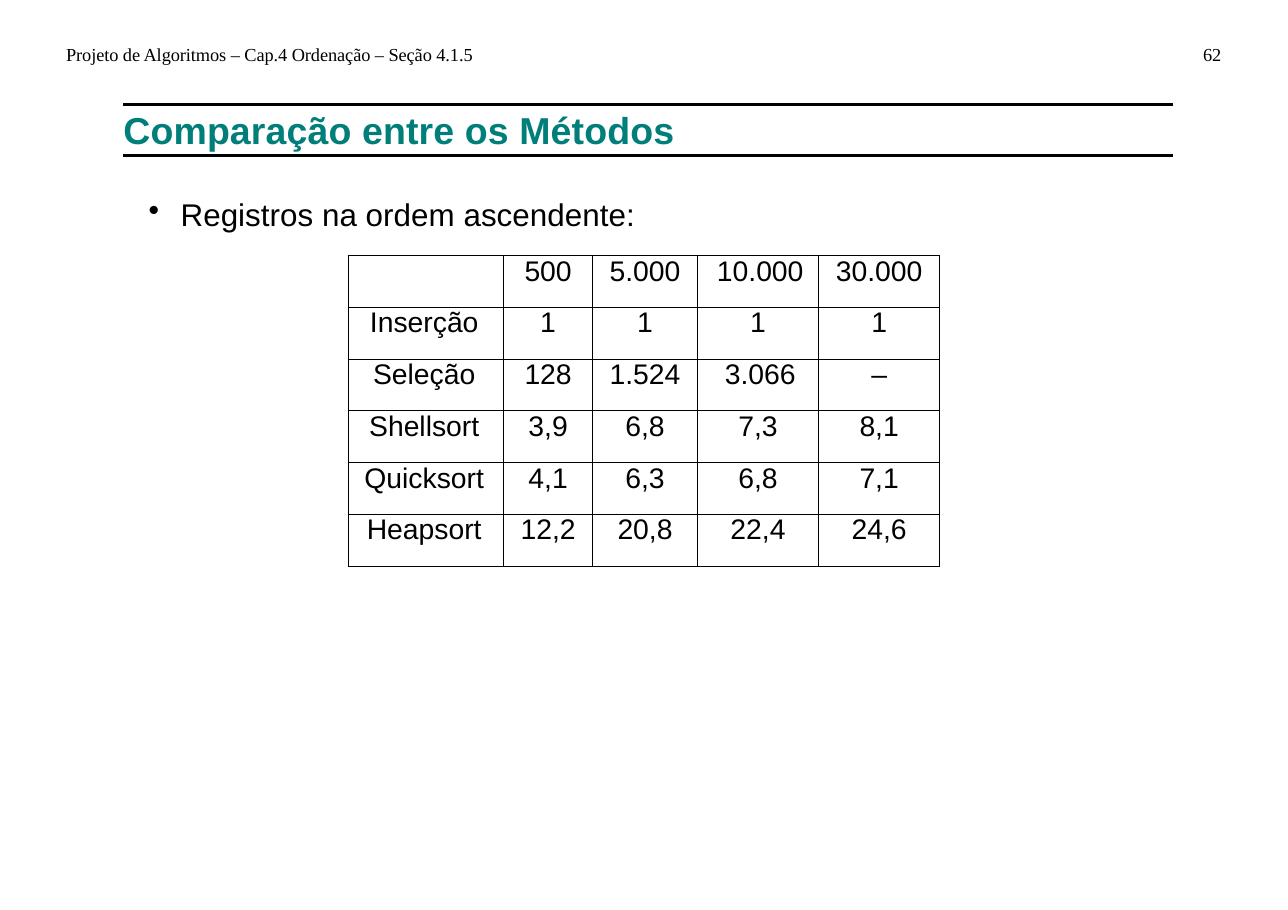
from lxml.etree import SubElement
from pptx import Presentation
from pptx.dml.color import RGBColor
from pptx.enum.shapes import MSO_CONNECTOR
from pptx.enum.text import MSO_ANCHOR, MSO_AUTO_SIZE, PP_ALIGN
from pptx.oxml.ns import qn
from pptx.util import Inches, Pt

BLACK = RGBColor(0x00, 0x00, 0x00)
TEAL = RGBColor(0x00, 0x7F, 0x7A)

SMALL = {"size": Pt(12), "name": "Times New Roman", "bold": False}
HEADING = {"size": Pt(24.5), "name": "Arial", "bold": True}
BODY = {"size": Pt(20.5), "name": "Arial", "bold": False}
CELL = {"size": Pt(18.5), "name": "Arial", "bold": False}

COLUMN_WIDTHS = [1.41, 0.81, 0.95, 1.1, 1.1]
ROW_HEIGHT = 0.47
RESULTS = [
    ["", "500", "5.000", "10.000", "30.000"],
    ["Inserção", "1", "1", "1", "1"],
    ["Seleção", "128", "1.524", "3.066", "–"],
    ["Shellsort", "3,9", "6,8", "7,3", "8,1"],
    ["Quicksort", "4,1", "6,3", "6,8", "7,1"],
    ["Heapsort", "12,2", "20,8", "22,4", "24,6"],
]


class SlideBuilder:
    def __init__(self, slide):
        self.slide = slide
        self.rule_width = Pt(1.73)
        self.border_width = Pt(0.69)

    def add_words(self, paragraph, text, style, color=BLACK, align=PP_ALIGN.LEFT, spacing=0):
        paragraph.alignment = align
        run = paragraph.add_run()
        run.text = text
        for name, value in style.items():
            setattr(run.font, name, value)
        run.font.color.rgb = color
        if spacing:
            run._r.get_or_add_rPr().set("spc", str(spacing))

    def frame(self, shape, left, top, width, height):
        box = {"left": left, "top": top, "width": width, "height": height}
        for name, value in box.items():
            setattr(shape, name, Inches(value))
        text_frame = shape.text_frame
        settings = {
            "margin_left": 0, "margin_right": 0, "margin_top": 0, "margin_bottom": 0,
            "word_wrap": True, "auto_size": MSO_AUTO_SIZE.NONE,
            "vertical_anchor": MSO_ANCHOR.TOP,
        }
        for name, value in settings.items():
            setattr(text_frame, name, value)
        return text_frame.paragraphs[0]

    def title(self, text, *box):
        paragraph = self.frame(self.slide.shapes.title, *box)
        self.add_words(paragraph, text, HEADING, TEAL, spacing=10)

    def text(self, text, style, *box, bullet=False, spacing=0):
        paragraph = self.frame(self.slide.shapes.add_textbox(0, 0, 0, 0), *box)
        if bullet:
            properties = paragraph._p.get_or_add_pPr()
            properties.set("marL", str(Inches(0.29)))
            properties.set("indent", str(Inches(-0.29)))
            SubElement(properties, qn("a:buChar")).set("char", "•")
        self.add_words(paragraph, text, style, spacing=spacing)

    def rule(self, left, top, right):
        connector = self.slide.shapes.add_connector(
            MSO_CONNECTOR.STRAIGHT, Inches(left), Inches(top), Inches(right), Inches(top))
        connector.line.color.rgb = BLACK
        connector.line.width = self.rule_width
        SubElement(connector._element.spPr, qn("a:effectLst"))

    def borders(self, cell):
        properties = cell._tc.get_or_add_tcPr()
        for side in ("lnL", "lnR", "lnT", "lnB"):
            border = SubElement(properties, qn(f"a:{side}"))
            border.set("w", str(self.border_width))
            fill = SubElement(border, qn("a:solidFill"))
            SubElement(fill, qn("a:srgbClr")).set("val", str(BLACK))

    def table(self, rows, widths, row_height, left, top):
        table = self.slide.shapes.add_table(
            len(rows), len(widths), Inches(left), Inches(top),
            Inches(sum(widths)), Inches(row_height * len(rows))).table
        table.first_row = False
        table.horz_banding = False
        for column, width in zip(table.columns, widths):
            column.width = Inches(width)
        for row, texts in zip(table.rows, rows):
            row.height = Inches(row_height)
            for index, (cell, text) in enumerate(zip(row.cells, texts)):
                thousands = index == 3 and "." in text
                margins = {
                    "margin_left": Inches(0.04 if thousands else 0),
                    "margin_right": Inches(0.03 if index == 0 else 0),
                    "margin_top": 0, "margin_bottom": 0,
                }
                for name, value in margins.items():
                    setattr(cell, name, value)
                self.borders(cell)
                cell.fill.background()
                if text:
                    paragraph = cell.text_frame.paragraphs[0]
                    self.add_words(paragraph, text, CELL, align=PP_ALIGN.CENTER)


def main():
    presentation = Presentation()
    presentation.slide_width = Inches(11.69)
    presentation.slide_height = Inches(8.26)
    builder = SlideBuilder(presentation.slides.add_slide(presentation.slide_layouts[5]))
    builder.text("Projeto de Algoritmos – Cap.4 Ordenação – Seção 4.1.5", SMALL,
                 0.6, 0.39, 4.2, 0.21, spacing=-5)
    builder.text("62", SMALL, 10.92, 0.39, 0.3, 0.21)
    for top in (0.95, 1.41):
        builder.rule(1.12, top, 10.65)
    builder.title("Comparação entre os Métodos", 1.12, 0.97, 9.53, 0.4)
    builder.text("Registros na ordem ascendente:", BODY,
                 1.35, 1.77, 5.5, 0.34, bullet=True, spacing=4)
    builder.table(RESULTS, COLUMN_WIDTHS, ROW_HEIGHT, 3.16, 2.32)
    presentation.save("out.pptx")


if __name__ == "__main__":
    main()
